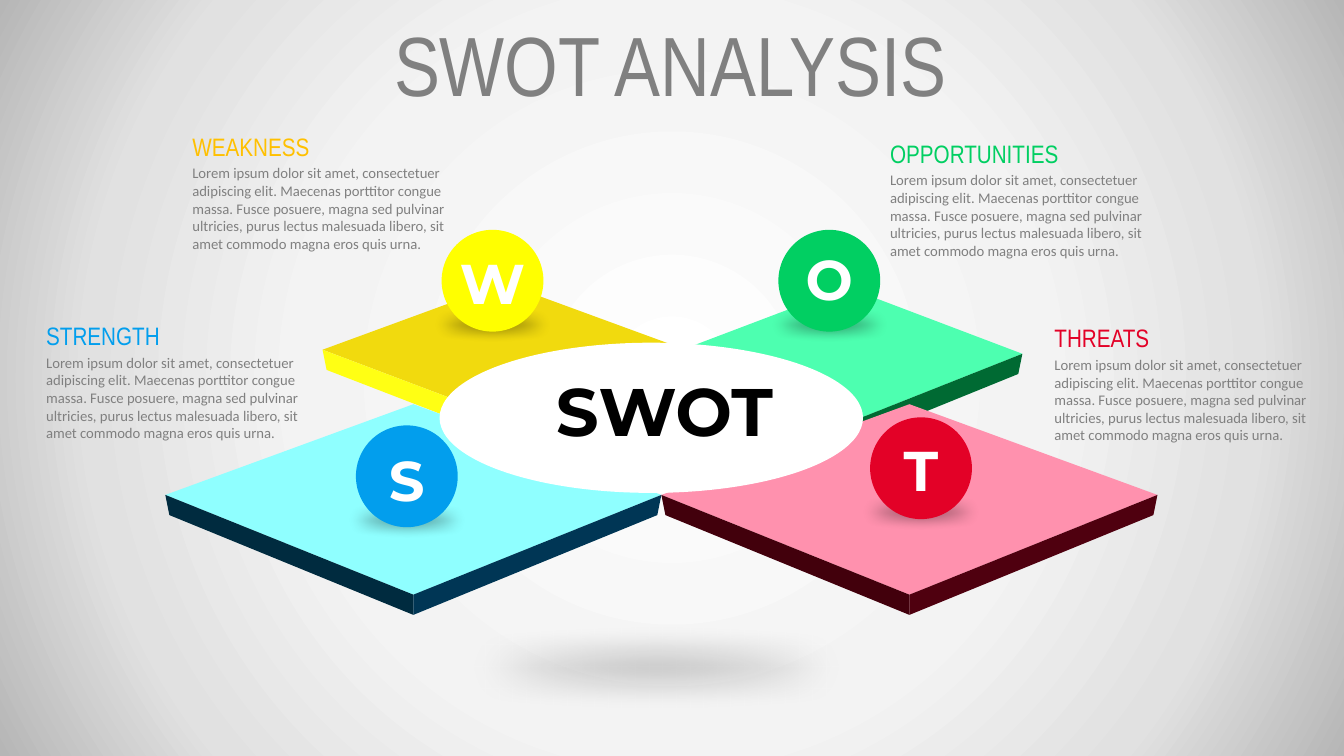
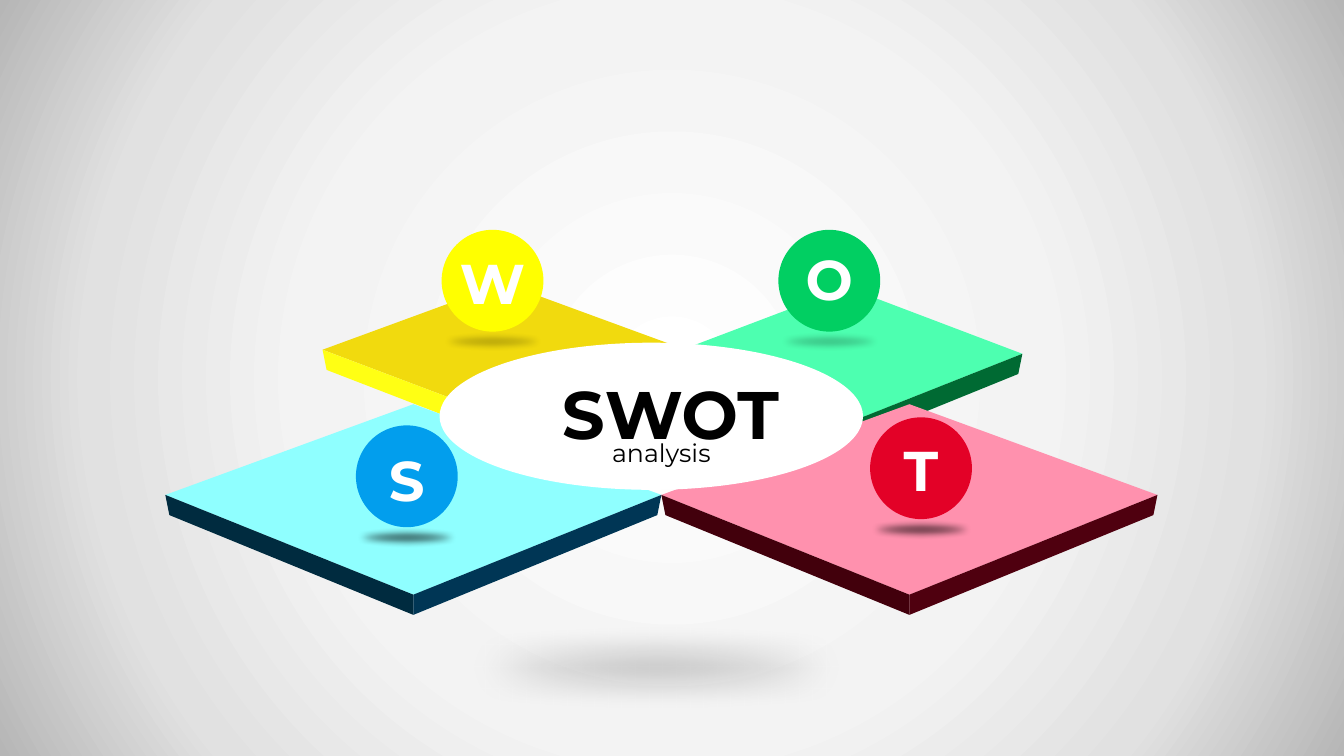
"""Two SWOT slides: four raised tiles with lettered balls, with and without notes."""
from pptx import Presentation
from pptx.dml.color import RGBColor
from pptx.enum.shapes import MSO_SHAPE
from pptx.enum.text import MSO_AUTO_SIZE, PP_ALIGN
from pptx.oxml import parse_xml
from pptx.oxml.ns import nsdecls, qn
from pptx.util import Inches, Pt

OVAL = MSO_SHAPE.OVAL
LEFT, MID = PP_ALIGN.LEFT, PP_ALIGN.CENTER
GROW = MSO_AUTO_SIZE.SHAPE_TO_FIT_TEXT
WHITE = RGBColor(0xFF, 0xFF, 0xFF)
BLACK = RGBColor(0, 0, 0)
GREY = RGBColor(0x80, 0x80, 0x80)
BLUE = RGBColor(0x02, 0x9E, 0xED)
YELLOW = RGBColor(0xFF, 0xFF, 0x00)
AMBER = RGBColor(0xFF, 0xC0, 0x00)
GREEN = RGBColor(0x01, 0xCF, 0x62)
RED = RGBColor(0xE3, 0x01, 0x27)
GOLD = RGBColor(0xF1, 0xDA, 0x0E)
LEMON = RGBColor(0xFF, 0xFF, 0x14)
MINT = RGBColor(0x4D, 0xFF, 0xB0)
FOREST = RGBColor(0x00, 0x6A, 0x33)
AQUA = RGBColor(0x8F, 0xFF, 0xFF)
NAVY = RGBColor(0x00, 0x2B, 0x3F)
MARINE = RGBColor(0x00, 0x36, 0x55)
PINK = RGBColor(0xFF, 0x91, 0xAE)
WINE = RGBColor(0x42, 0x00, 0x0C)
PLUM = RGBColor(0x4F, 0x00, 0x0F)

HEAD, BODY, BOLD = "Arial Narrow", "Calibri", "Montserrat"
BALL, DEPTH, INSET = 1.01, 0.2, 0.04
LOREM = ("Lorem ipsum dolor sit amet, consectetuer adipiscing elit. "
         "Maecenas porttitor congue massa. Fusce posuere, magna sed pulvinar "
         "ultricies, purus lectus malesuada libero, sit amet commodo magna "
         "eros quis urna.")

# centre, half width, top, middle, bottom, face, left side, right side
TILES = [
    (8.4, 1.74, 2.85, 3.51, 4.2, MINT, FOREST, FOREST),
    (5.0, 1.8, 2.81, 3.47, 4.15, GOLD, LEMON, LEMON),
    (4.1, 2.46, 4.01, 4.91, 5.9, AQUA, NAVY, MARINE),
    (9.02, 2.46, 4.01, 4.91, 5.9, PINK, WINE, PLUM),
]
# letter, left, top, letter drop, colour, low shadow strength
BALLS = [
    ("S", 3.53, 4.22, 0.15, BLUE, 59),
    ("W", 4.38, 2.28, 0.14, YELLOW, 24),
    ("O", 7.72, 2.28, 0.1, GREEN, 24),
    ("T", 8.63, 4.14, 0.13, RED, 59),
]
NOTES = [
    ("STRENGTH", 0.36, 3.13, BLUE),
    ("WEAKNESS", 1.81, 1.25, AMBER),
    ("OPPORTUNITIES", 8.73, 1.32, GREEN),
    ("THREATS", 10.36, 3.15, RED),
]


def write(text, x, y, w, h, size, color, font=BOLD, bold=False, align=MID):
    frame = page.shapes.add_textbox(*map(Inches, (x, y, w, h))).text_frame
    frame.word_wrap = True
    frame.auto_size = GROW
    par = frame.paragraphs[0]
    par.alignment = align
    run = par.add_run()
    run.text = text
    run.font.size, run.font.name, run.font.bold = Pt(size), font, bold
    run.font.color.rgb = color


def oval(x, y, w, h, color, alpha=100, soft=0):
    shape = page.shapes.add_shape(OVAL, *map(Inches, (x, y, w, h)))
    shape.shadow.inherit = False
    shape.fill.solid()
    shape.fill.fore_color.rgb = color
    shape.line.fill.background()
    if soft:
        props = shape._element.spPr
        props.find(".//" + qn("a:srgbClr")).append(parse_xml(
            f'<a:alpha {nsdecls("a")} val="{alpha * 1000}"/>'))
        props.find(qn("a:effectLst")).append(parse_xml(
            f'<a:softEdge {nsdecls("a")} rad="{Pt(soft)}"/>'))


deck = Presentation()
deck.slide_width, deck.slide_height = Inches(13.33), Inches(7.5)
master = deck.slide_master
master.background.fill.gradient()
stops = "".join(
    f'<a:gs pos="{pos * 1000}"><a:srgbClr val="{tone}"/></a:gs>'
    for pos, tone in [(0, "FFFFFF"), (48, "F3F3F3"), (76, "E1E1E1"), (100, "B6B6B6")])
grad = master._element.cSld.find(".//" + qn("a:gradFill"))
grad.getparent().replace(grad, parse_xml(
    f'<a:gradFill {nsdecls("a")} rotWithShape="1"><a:gsLst>{stops}</a:gsLst>'
    '<a:path path="circle"><a:fillToRect l="50000" t="50000" r="50000" b="50000"/>'
    '</a:path></a:gradFill>'))

for full in (True, False):
    page = deck.slides.add_slide(deck.slide_layouts[6])
    oval(3.2, 6.19, 6.61, 0.86, BLACK, alpha=37, soft=25)

    for mid, half, top, side, low, face, west, east in TILES:
        tip, base = (mid, low), (mid, low + DEPTH)
        planes = [(face, [(mid - half, side), (mid, top), (mid + half, side), tip])]
        for sign, tone in ((-1, west), (1, east)):
            edge = mid + sign * half
            foot = (edge - sign * INSET, side + DEPTH)
            planes.append((tone, [(edge, side), tip, base, foot]))
        for tone, spots in planes:
            ends = [(Inches(x), Inches(y)) for x, y in spots]
            path = page.shapes.build_freeform(*ends[0])
            path.add_line_segments(ends[1:], close=True)
            plane = path.convert_to_shape()
            plane.shadow.inherit = False
            plane.fill.solid()
            plane.fill.fore_color.rgb = tone
            plane.line.fill.background()

    oval(4.36, 3.4, 4.2, 1.49 if full else 1.46, WHITE)
    for mark, x, y, drop, tone, dim in BALLS:
        if full:
            oval(x - 0.44, y + 0.75, 1.89, 0.38, BLACK, alpha=56, soft=10)
        else:
            oval(x - 0.16, y + 1, 1.34, 0.22, BLACK, alpha=dim, soft=5)
        oval(x, y, BALL, BALL, tone)
        write(mark, x, y + drop, BALL, 0.77, 40, WHITE, bold=True)

    if full:
        write("SWOT", 5.31, 3.61, 2.56, 0.91, 48, BLACK, bold=True)
        for name, x, y, tone in NOTES:
            write(name, x, y, 2.74, 0.4, 18, tone, font=HEAD, align=LEFT)
            write(LOREM, x, y + 0.33, 3, 1.16, 10.5, GREY, font=BODY, align=LEFT)
        write("SWOT ANALYSIS", 3.73, 0.07, 5.84, 1.11, 60, GREY, font=HEAD)
    else:
        write("SWOT", 5.37, 3.64, 2.56, 0.91, 48, BLACK, bold=True)
        write("analysis", 5.84, 4.29, 1.44, 0.4, 18, BLACK)

deck.save("out.pptx")
